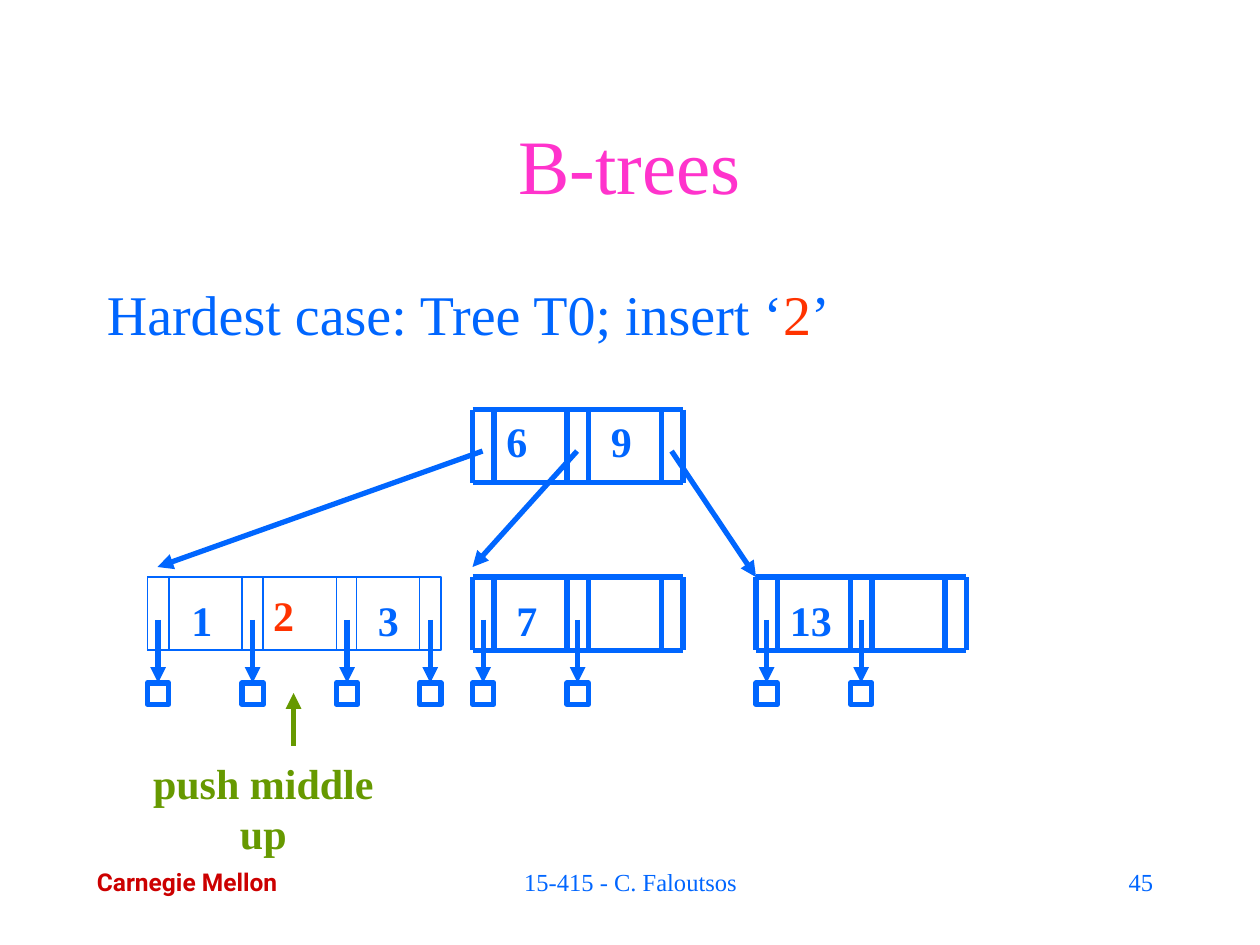
from lxml import etree
from pptx import Presentation
from pptx.dml import color as dml
from pptx.enum import shapes, text
from pptx.oxml import ns
from pptx.util import Inches, Pt

COLORS = {"blue": "0066FF", "red": "FF3300", "pink": "FF33CC",
          "green": "669900", "crimson": "CC0000", "white": "FFFFFF"}
ALIGN = text.PP_ALIGN

SLOT = 0.17          # width of a pointer slot
PITCH = 0.75         # distance between pointer slots
NODE_WIDTH = 2 * PITCH + SLOT
NODE_HEIGHT = 0.58
ROOT_TOP, LEAF_TOP = 3.25, 4.58


def rgb(name):
    return dml.RGBColor.from_string(COLORS[name])


class TreeSlide:
    """Holds the style and the current slide."""

    font = "Times New Roman"

    def __init__(self, slide):
        self.slide = slide

    def label(self, left, top, width, height, runs, size=24, bold=False,
              align=ALIGN.CENTER, font=None, wrap=True,
              anchor=text.MSO_ANCHOR.TOP):
        """Add a line of text made of (wording, color) runs."""
        shape = self.slide.shapes.add_textbox(
            Inches(left), Inches(top), Inches(width), Inches(height))
        frame = shape.text_frame
        frame.word_wrap = wrap
        frame.vertical_anchor = anchor
        paragraph = frame.paragraphs[0]
        paragraph.alignment = align
        for wording, color in runs:
            run = paragraph.add_run()
            run.text = wording
            run.font.name = font or self.font
            run.font.size = Pt(size)
            run.font.bold = bold
            run.font.color.rgb = rgb(color)

    def key(self, left, top, wording, color="blue", width=0.36):
        self.label(left, top, width, 0.5, [(wording, color)],
                   bold=True, wrap=False)

    def line(self, x1, y1, x2, y2, weight=3, color="blue", arrow=False):
        connector = self.slide.shapes.add_connector(
            shapes.MSO_CONNECTOR.STRAIGHT,
            Inches(x1), Inches(y1), Inches(x2), Inches(y2))
        connector.line.width = Pt(weight)
        connector.line.color.rgb = rgb(color)
        if arrow:
            etree.SubElement(connector.line._get_or_add_ln(),
                             ns.qn("a:tailEnd"), type="triangle")
        etree.SubElement(connector._element.spPr, ns.qn("a:effectLst"))

    def box(self, left, top, width, height, weight=3):
        shape = self.slide.shapes.add_shape(
            shapes.MSO_SHAPE.RECTANGLE,
            Inches(left), Inches(top), Inches(width), Inches(height))
        shape.shadow.inherit = False
        shape.fill.solid()
        shape.fill.fore_color.rgb = rgb("white")
        shape.line.width = Pt(weight)
        shape.line.color.rgb = rgb("blue")

    def node(self, left, top, weight=3):
        """Add a node with three pointer slots and room for two keys."""
        bottom = top + NODE_HEIGHT
        for index in range(3):
            slot = left + index * PITCH
            for x in (slot, slot + SLOT):
                self.line(x, top, x, bottom, weight)
        for y in (top, bottom):
            self.line(left, y, left + NODE_WIDTH, y, weight)

    def pointer(self, left):
        """Add an arrow from a leaf slot down to its data box."""
        center = left + SLOT / 2
        self.line(center, 4.92, center, 5.42, arrow=True)
        self.box(left, 5.42, SLOT, SLOT)


def main():
    presentation = Presentation()
    presentation.slide_width = Inches(10)
    presentation.slide_height = Inches(7.5)
    tree = TreeSlide(
        presentation.slides.add_slide(presentation.slide_layouts[6]))

    # Title and task
    tree.label(0.75, 0.67, 8.5, 1.25, [("B-trees", "pink")], size=44,
               anchor=text.MSO_ANCHOR.MIDDLE)
    tree.label(0.75, 2.17, 8.5, 0.67,
               [("Hardest case: Tree T0; insert ‘", "blue"),
                ("2", "red"), ("’", "blue")],
               size=32, align=ALIGN.LEFT)

    # Root and leaves, with the data pointers of each leaf
    tree.node(3.75, ROOT_TOP)
    for left, weight, pointers in ((3.75, 3, 2), (1.17, 1, 3), (6, 3, 2)):
        tree.node(left, LEAF_TOP, weight)
        for index in range(pointers):
            tree.pointer(left + index * PITCH)

    # Extra cell of the overflowing leaf
    tree.box(2.83, LEAF_TOP, 0.67, NODE_HEIGHT, weight=1)
    tree.line(3.33, LEAF_TOP + NODE_HEIGHT, 3.33, LEAF_TOP, weight=1)
    tree.pointer(3.33)

    # Root to leaves
    for x1, x2, y2 in ((3.83, 1.25, 4.5), (4.58, 3.75, 4.5), (5.33, 6, 4.58)):
        tree.line(x1, 3.58, x2, y2, arrow=True)

    # Keys
    for left, wording in ((3.92, "6"), (4.75, "9")):
        tree.key(left, ROOT_TOP, wording)
    for left, wording in ((1.42, "1"), (2.9, "3"), (4, "7")):
        tree.key(left, 4.67, wording)
    tree.key(6.17, 4.67, "13", width=0.53)
    tree.key(2.07, 4.63, "2", "red")

    # Push-up note
    tree.line(2.33, 5.92, 2.33, 5.5, color="green", arrow=True)
    tree.key(0.89, 5.96, "push middle up", "green", width=2.4)

    # Footer
    tree.label(0.67, 6.83, 1.81, 0.34, [("Carnegie Mellon", "crimson")],
               size=14, bold=True, align=ALIGN.LEFT, font="Roboto", wrap=False)
    tree.label(3.42, 6.83, 3.17, 0.5, [("15-415 - C. Faloutsos", "blue")],
               size=14)
    tree.label(7.17, 6.83, 2.08, 0.5, [("45", "blue")], size=14,
               align=ALIGN.RIGHT)

    presentation.save("out.pptx")


if __name__ == "__main__":
    main()
